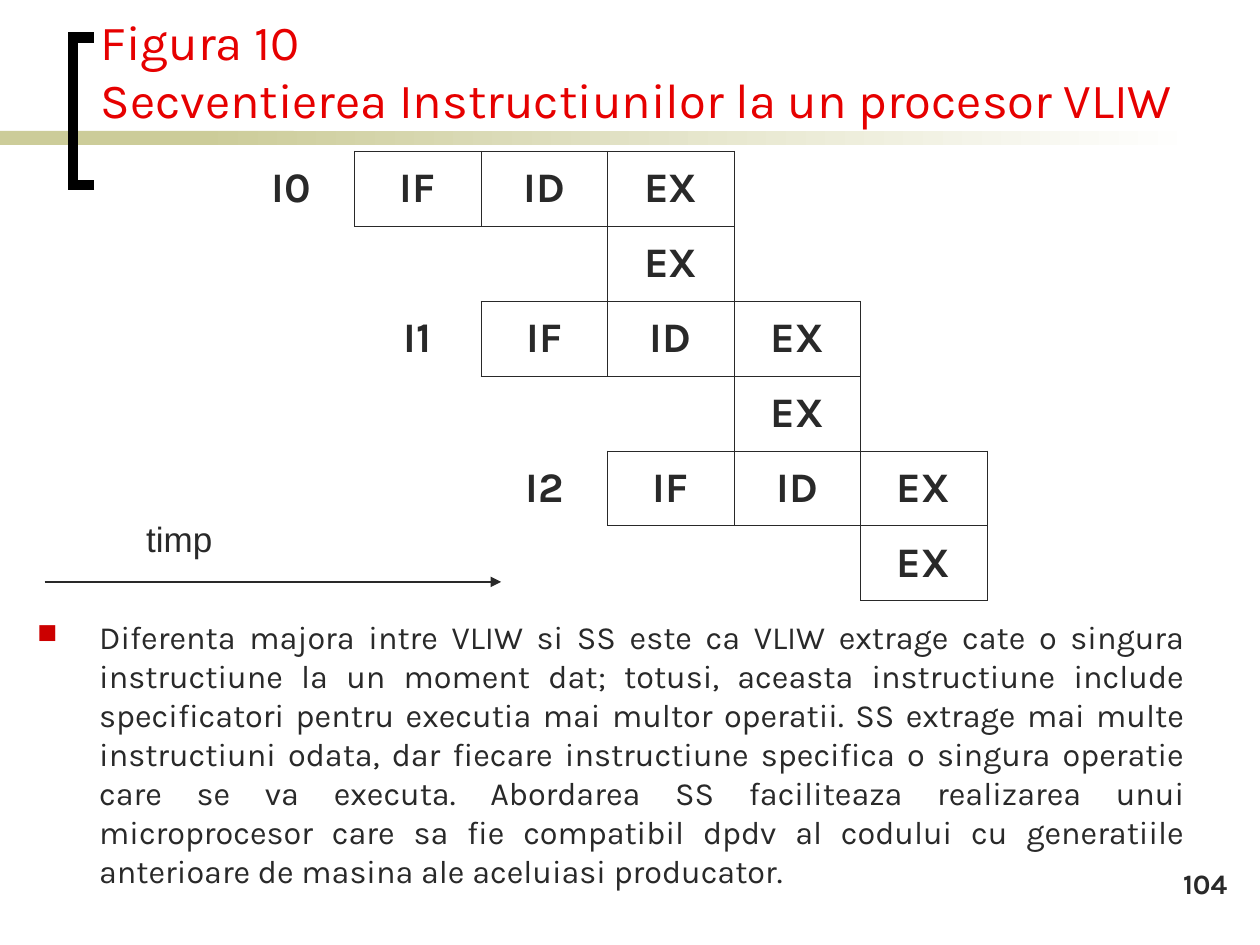
import pptx
import pptx.util
import pptx.dml.color
import pptx.enum.shapes
import pptx.enum.text
from lxml import etree
from pptx.oxml.ns import qn

Cm, Pt = pptx.util.Cm, pptx.util.Pt
RGBColor = pptx.dml.color.RGBColor
ALIGN, ANCHOR = pptx.enum.text.PP_ALIGN, pptx.enum.text.MSO_ANCHOR

RED = RGBColor(0xE6, 0x00, 0x00)
BULLET_RED = RGBColor(0xCC, 0x00, 0x00)
INK = RGBColor(0x29, 0x29, 0x29)
OLIVE = RGBColor(0xCC, 0xCC, 0x99)
WHITE = RGBColor(0xFF, 0xFF, 0xFF)
BLACK = RGBColor(0x00, 0x00, 0x00)

TITLE = ["Figura 10", "Secventierea Instructiunilor la un procesor VLIW"]
BODY = (
    "Diferenta majora intre VLIW si SS este ca VLIW extrage cate o singura instructiune "
    "la un moment dat; totusi, aceasta instructiune include specificatori pentru executia "
    "mai multor operatii. SS extrage mai multe instructiuni odata, dar fiecare instructiune "
    "specifica o singura operatie care se va executa. Abordarea SS faciliteaza realizarea "
    "unui microprocesor care sa fie compatibil dpdv al codului cu generatiile anterioare de "
    "masina ale aceluiasi producator."
)
INSTRUCTIONS = ["I0", "I1", "I2"]
STAGES = ["IF", "ID", "EX"]
ROWS, COLS = 2 * len(INSTRUCTIONS), len(INSTRUCTIONS) + len(STAGES)
COL_W, ROW_H = Cm(2.55), Cm(1.51)
SIDES = {"a:lnL": (0, -1), "a:lnR": (0, 1), "a:lnT": (-1, 0), "a:lnB": (1, 0)}


def add_run(p, text, size, color=INK, font="Karla", bold=False):
    r = p.add_run()
    r.text = text
    r.font.size = Pt(size)
    r.font.name = font
    r.font.bold = bold
    r.font.color.rgb = color


def add_box(s, left, top, width, height, align, wrap=True):
    tf = s.shapes.add_textbox(Cm(left), Cm(top), Cm(width), Cm(height)).text_frame
    tf.word_wrap = wrap
    tf.paragraphs[0].alignment = align
    return tf


def add_band(s, left, width):
    sp = s.shapes.add_shape(pptx.enum.shapes.MSO_SHAPE.RECTANGLE,
                            Cm(left), Cm(2.64), Cm(width), Cm(0.28))
    sp.shadow.inherit = False
    sp.line.fill.background()
    return sp.fill


def add_bracket(s):
    fb = s.shapes.build_freeform(Cm(1.9), Cm(3.73))
    fb.add_line_segments([(Cm(1.47), Cm(3.73)), (Cm(1.47), Cm(0.76)), (Cm(1.9), Cm(0.76))],
                         close=False)
    sp = fb.convert_to_shape()
    sp.shadow.inherit = False
    sp.fill.background()
    sp.line.color.rgb = BLACK
    sp.line.width = Pt(6)
    etree.SubElement(sp.line._get_or_add_ln(), qn("a:miter"), lim="800000")


def set_borders(cell, row, col, boxed):
    tcPr = cell._tc.get_or_add_tcPr()
    for i, (tag, (dr, dc)) in enumerate(SIDES.items()):
        ln = etree.Element(qn(tag), w=str(Pt(0.45)))
        if (row, col) in boxed or (row + dr, col + dc) in boxed:
            fill = etree.SubElement(ln, qn("a:solidFill"))
            etree.SubElement(fill, qn("a:srgbClr"), val=str(INK))
        else:
            etree.SubElement(ln, qn("a:noFill"))
        tcPr.insert(i, ln)


def add_pipeline(s):
    labels, boxed = {}, {}
    for i, name in enumerate(INSTRUCTIONS):
        labels[2 * i, i] = name
        for j, stage in enumerate(STAGES, 1):
            boxed[2 * i, i + j] = stage
        boxed[2 * i + 1, i + len(STAGES)] = STAGES[-1]
    texts = {**labels, **boxed}

    table = s.shapes.add_table(ROWS, COLS, Cm(4.6), Cm(3.05),
                               COL_W * COLS, ROW_H * ROWS).table
    table.first_row = table.horz_banding = False
    for col in table.columns:
        col.width = COL_W
    for row in table.rows:
        row.height = ROW_H
    for row in range(ROWS):
        for col in range(COLS):
            cell = table.cell(row, col)
            cell.fill.background()
            cell.vertical_anchor = ANCHOR.MIDDLE
            set_borders(cell, row, col, boxed)
            if (row, col) in texts:
                p = cell.text_frame.paragraphs[0]
                p.alignment = ALIGN.CENTER
                add_run(p, texts[row, col], 24, bold=True)


def add_time_arrow(s):
    line = s.shapes.add_connector(pptx.enum.shapes.MSO_CONNECTOR.STRAIGHT,
                                  Cm(0.9), Cm(11.73), Cm(10.1), Cm(11.73))
    line.line.color.rgb = INK
    line.line.width = Pt(0.75)
    etree.SubElement(line.line._get_or_add_ln(), qn("a:tailEnd"), type="triangle")
    etree.SubElement(line._element.spPr, qn("a:effectLst"))
    tf = add_box(s, 2.6, 10.31, 2.03, 1.12, ALIGN.CENTER, wrap=False)
    add_run(tf.paragraphs[0], "timp", 20, font="Arial")


def add_body(s):
    p = add_box(s, 0.5, 12.32, 23.62, 6.2, ALIGN.JUSTIFY).paragraphs[0]
    pPr = p._p.get_or_add_pPr()
    pPr.set("marL", str(Cm(1.25)))
    pPr.set("indent", str(-Cm(1.25)))
    color = etree.SubElement(pPr, qn("a:buClr"))
    etree.SubElement(color, qn("a:srgbClr"), val=str(BULLET_RED))
    etree.SubElement(pPr, qn("a:buSzPct"), val="85000")
    etree.SubElement(pPr, qn("a:buChar"), char="■")
    add_run(p, BODY, 18.5)


def main():
    prs = pptx.Presentation()
    prs.slide_width, prs.slide_height = Cm(25.4), Cm(19.05)
    s = prs.slides.add_slide(prs.slide_layouts[6])

    fill = add_band(s, 0, 5.92)
    fill.solid()
    fill.fore_color.rgb = OLIVE
    fill = add_band(s, 4.01, 20.12)
    fill.gradient()
    fill.gradient_angle = 0
    for stop, color in zip(fill.gradient_stops, (OLIVE, WHITE)):
        stop.color.rgb = color
    add_bracket(s)

    tf = add_box(s, 1.78, 1.17, 24.13, 1.55, ALIGN.LEFT)
    tf.vertical_anchor = ANCHOR.BOTTOM
    p = tf.paragraphs[0]
    add_run(p, TITLE[0], 28, RED)
    p.add_line_break()
    add_run(p, TITLE[1], 28, RED)

    add_body(s)
    add_pipeline(s)
    add_time_arrow(s)
    tf = add_box(s, 19.71, 17.35, 5.28, 1.27, ALIGN.RIGHT)
    add_run(tf.paragraphs[0], "104", 16, bold=True)
    prs.save("out.pptx")


if __name__ == "__main__":
    main()
